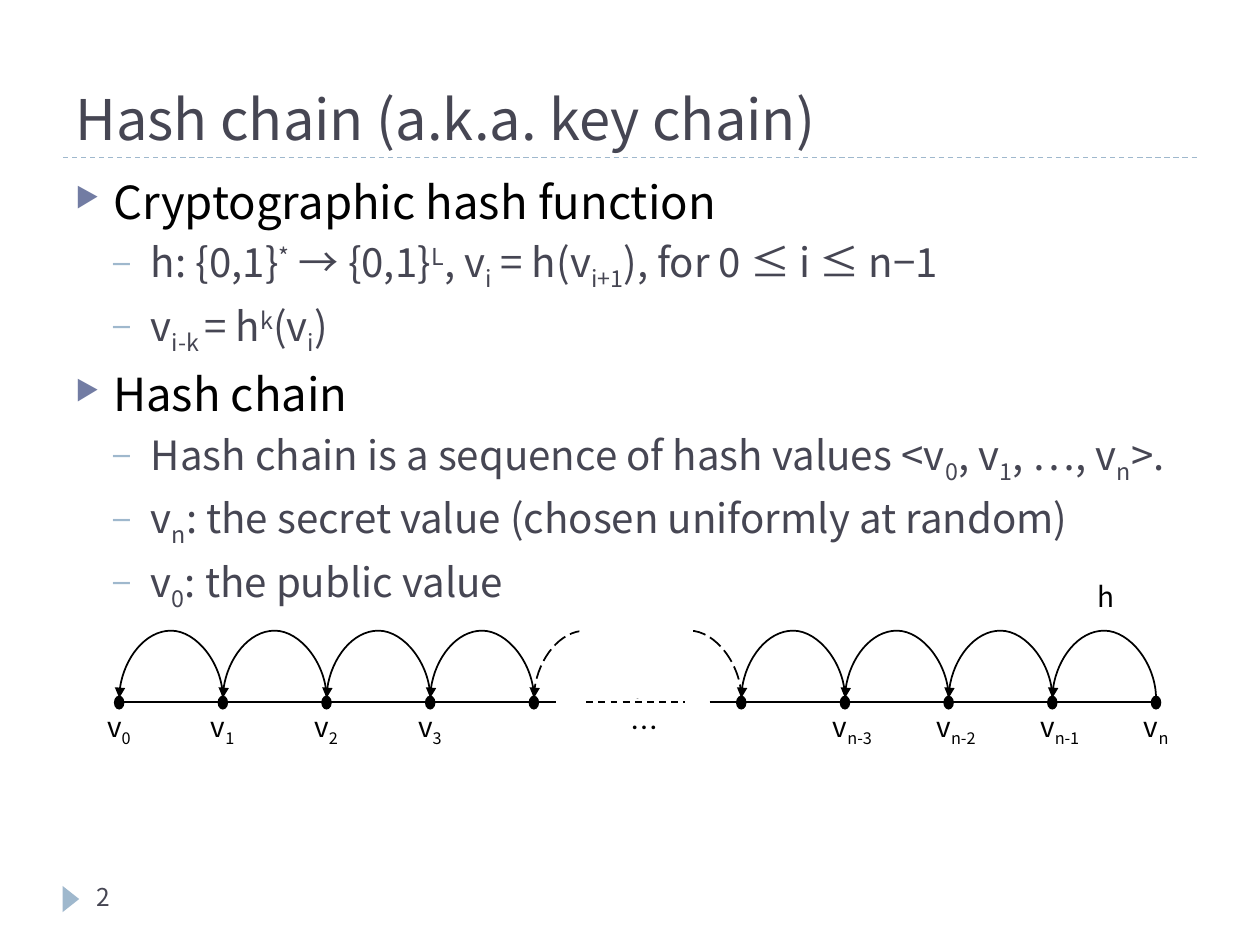
from dataclasses import dataclass

from lxml import etree
from pptx import Presentation
from pptx.dml.color import RGBColor
from pptx.enum.dml import MSO_LINE
from pptx.enum.shapes import MSO_CONNECTOR, MSO_SHAPE
from pptx.enum.text import MSO_ANCHOR
from pptx.oxml.ns import qn
from pptx.util import Pt

STRAIGHT, CURVE = MSO_CONNECTOR.STRAIGHT, MSO_CONNECTOR.CURVE
OVAL, RECT, TRIANGLE = MSO_SHAPE.OVAL, MSO_SHAPE.RECTANGLE, MSO_SHAPE.ISOSCELES_TRIANGLE
DASH, LONG_DASH = MSO_LINE.DASH, MSO_LINE.LONG_DASH
TOP, BOTTOM = MSO_ANCHOR.TOP, MSO_ANCHOR.BOTTOM
SUB, SUP = -25000, 30000


@dataclass(frozen=True)
class Theme:
    font: str = "Noto Sans CJK KR"
    ink: str = "000000"
    slate: str = "464653"
    indigo: str = "727CA3"
    mist: str = "9FB8CD"
    paper: str = "FFFFFF"
    title: float = 32
    level1: float = 26
    level2: float = 23
    label: float = 16
    number: float = 14


THEME = Theme()

BODY = [
    (0, ["Cryptographic hash function"]),
    (1, ["h: {0,1}", ("*", SUP), " → {0,1}", ("L", SUP), ", v", ("i", SUB), " = h(v",
         ("i+1", SUB), "), for 0 ≤ i ≤ n−1"]),
    (1, ["v", ("i-k ", SUB), "= h", ("k", SUP), "(v", ("i", SUB), ")"]),
    (0, ["Hash chain"]),
    (1, ["Hash chain is a sequence of hash values <v", ("0", SUB), ", v", ("1", SUB),
         ", …, v", ("n", SUB), ">."]),
    (1, ["v", ("n", SUB), ": the secret value (chosen uniformly at random)"]),
    (1, ["v", ("0", SUB), ": the public value"]),
]

NODE_LABELS = {0: "0", 1: "1", 2: "2", 3: "3", 7: "n-3", 8: "n-2", 9: "n-1", 10: "n"}
NODE_COUNT = 11
HIDDEN_NODE = 5
FIRST_X, PITCH = 68.1, 59.25
AXIS_Y, ARC_Y = 401, 399
ARC_RISE, ARC_DEPTH = 39, 0.2


def rgb(value):
    return RGBColor.from_string(value)


def node_x(i):
    return FIRST_X + i * PITCH


def add_runs(p, parts, size, color):
    for part in parts:
        text, shift = part if isinstance(part, tuple) else (part, 0)
        r = p.add_run()
        r.text = text
        r.font.size = Pt(size)
        r.font.name = THEME.font
        r.font.color.rgb = rgb(color)
        rPr = r.font._element
        etree.SubElement(rPr, qn("a:ea"), typeface=THEME.font)
        if shift:
            rPr.set("baseline", str(shift))


def add_textbox(shapes, x, y, w, h, anchor=TOP):
    tf = shapes.add_textbox(Pt(x), Pt(y), Pt(w), Pt(h)).text_frame
    tf.word_wrap = True
    tf.vertical_anchor = anchor
    return tf


def add_label(shapes, x, y, w, parts, size=THEME.label, color=THEME.ink, h=36):
    tf = add_textbox(shapes, x, y, w, h)
    add_runs(tf.paragraphs[0], parts, size, color)


def add_shape(shapes, kind, x, y, w, h, fill):
    s = shapes.add_shape(kind, Pt(x), Pt(y), Pt(w), Pt(h))
    s.shadow.inherit = False
    s.fill.solid()
    s.fill.fore_color.rgb = rgb(fill)
    s.line.fill.background()
    return s


def add_line(shapes, kind, x1, y1, x2, y2, color=THEME.ink, width=1, dash=None):
    s = shapes.add_connector(kind, Pt(x1), Pt(y1), Pt(x2), Pt(y2))
    s.line.color.rgb = rgb(color)
    s.line.width = Pt(width)
    if dash:
        s.line.dash_style = dash
    etree.SubElement(s._element.spPr, qn("a:effectLst"))
    return s


def add_arc(shapes, left, right, dash=None):
    middle, span = (left + right) / 2, right - left
    s = add_line(shapes, CURVE, middle - ARC_DEPTH / 2, ARC_Y - span / 2,
                 middle + ARC_DEPTH / 2, ARC_Y + span / 2, dash=dash)
    spPr = s._element.spPr
    xfrm = spPr.find(qn("a:xfrm"))
    xfrm.set("rot", str(270 * 60000))
    xfrm.set("flipV", "1")
    guides = spPr.find(qn("a:prstGeom")).get_or_add_avLst()
    rise = round(ARC_RISE / ARC_DEPTH * 100000)
    etree.SubElement(guides, qn("a:gd"), name="adj1", fmla=f"val {rise}")
    etree.SubElement(spPr.find(qn("a:ln")), qn("a:tailEnd"), type="triangle")


def add_bullet(p, char, color, percent, indent):
    pPr = p._p.get_or_add_pPr()
    pPr.set("marL", str(Pt(indent)))
    pPr.set("indent", str(-Pt(21.6)))
    buClr = etree.SubElement(pPr, qn("a:buClr"))
    etree.SubElement(buClr, qn("a:srgbClr"), val=color)
    etree.SubElement(pPr, qn("a:buSzPct"), val=str(percent * 1000))
    etree.SubElement(pPr, qn("a:buChar"), char=char)


def add_body(shapes):
    tf = add_textbox(shapes, 36, 96, 670, 389)
    levels = [("▶", THEME.indigo, 60, 21.6, 6, THEME.level1, THEME.ink),
              ("–", THEME.mist, 76, 43.2, 5, THEME.level2, THEME.slate)]
    for i, (level, parts) in enumerate(BODY):
        char, bullet_color, percent, indent, gap, size, color = levels[level]
        p = tf.add_paragraph() if i else tf.paragraphs[0]
        p.level = level
        p.space_before = Pt(gap if i else 0)
        add_bullet(p, char, bullet_color, percent, indent)
        add_runs(p, parts, size, color)


def add_chain(shapes):
    add_line(shapes, STRAIGHT, 70.5, AXIS_Y, 317.5, AXIS_Y)
    add_line(shapes, STRAIGHT, 405.5, AXIS_Y, 658, AXIS_Y)
    add_line(shapes, STRAIGHT, 335, AXIS_Y, 391.5, AXIS_Y, dash=DASH)
    for i in range(NODE_COUNT):
        if i != HIDDEN_NODE:
            add_shape(shapes, OVAL, node_x(i) - 3, AXIS_Y - 3.5, 6, 8, THEME.ink)
    for i in range(NODE_COUNT - 1):
        dash = LONG_DASH if HIDDEN_NODE in (i, i + 1) else None
        add_arc(shapes, node_x(i), node_x(i + 1), dash)
    add_shape(shapes, RECT, 331, 345.5, 65, 53.5, THEME.paper)
    for i, index in NODE_LABELS.items():
        width = 40 if "n" in index else 30
        add_label(shapes, node_x(i) - 14, 402, width, ["v", (index, SUB)])
    add_label(shapes, 353, 402.5, 76, ["…"])
    add_label(shapes, 620, 327.5, 41, ["h"])


def main():
    prs = Presentation()
    prs.slide_width, prs.slide_height = Pt(720), Pt(540)
    shapes = prs.slides.add_slide(prs.slide_layouts[6]).shapes
    add_line(shapes, STRAIGHT, 36, 90, 684, 90, THEME.mist, 0.75, DASH)
    add_shape(shapes, TRIANGLE, 33, 509, 15, 9.5, THEME.mist).rotation = 90
    title = add_textbox(shapes, 36, 12, 648, 78, BOTTOM)
    add_runs(title.paragraphs[0], ["Hash chain (a.k.a. key chain)"], THEME.title, THEME.slate)
    add_label(shapes, 48, 500.5, 156, ["2"], THEME.number, THEME.slate, 29)
    add_body(shapes)
    add_chain(shapes.add_group_shape().shapes)
    prs.save("out.pptx")


if __name__ == "__main__":
    main()
